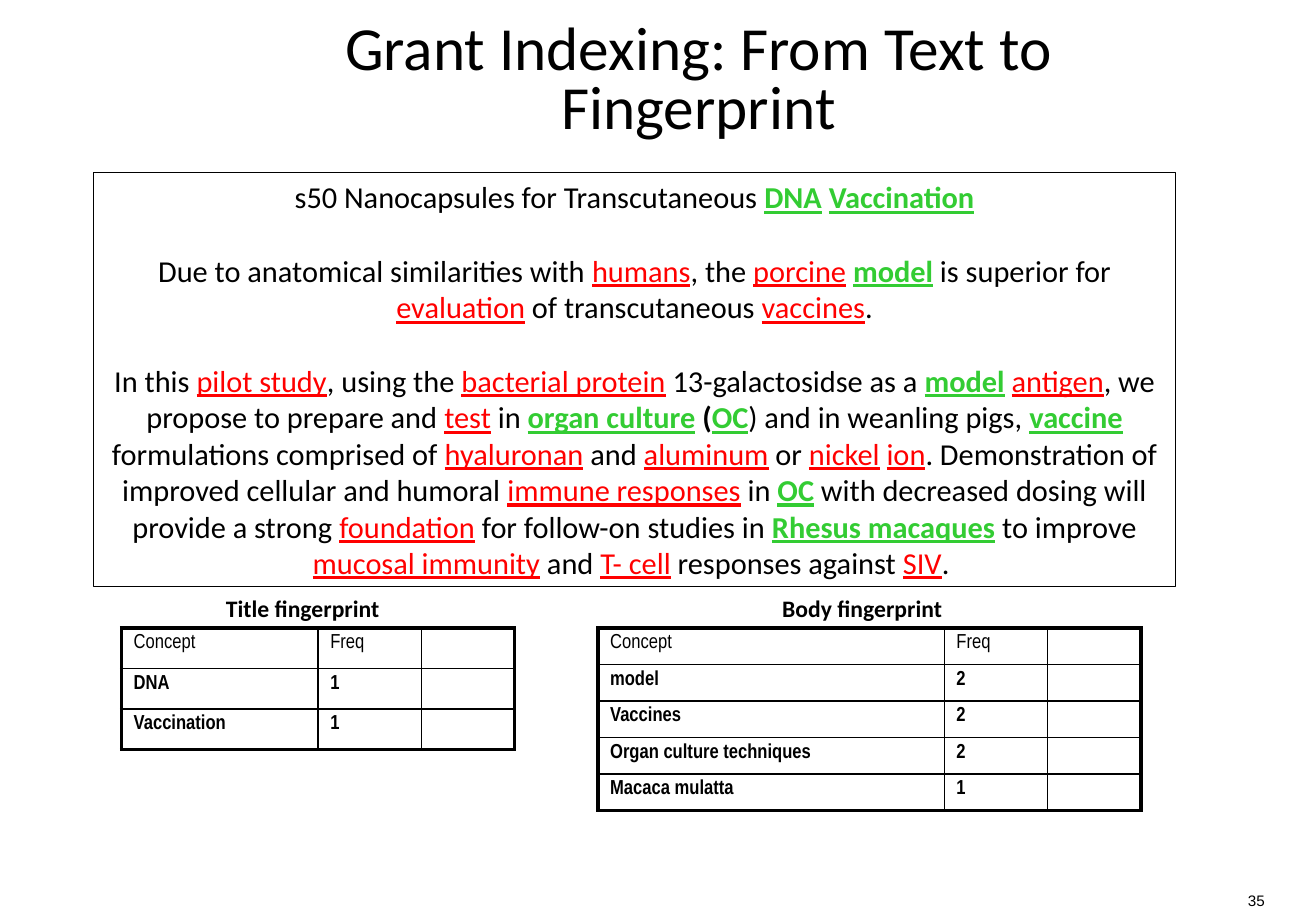
from dataclasses import dataclass

import lxml.etree
import pptx
import pptx.dml.color
import pptx.enum.text
import pptx.oxml.ns
import pptx.util

Cm = pptx.util.Cm
Pt = pptx.util.Pt
Align = pptx.enum.text.PP_ALIGN


@dataclass(frozen=True)
class Theme:
    """Colours, typefaces and type sizes of the slide."""
    black: str = "000000"
    red: str = "FF0000"
    green: str = "33CC33"
    text_face: str = "Calibri"
    table_face: str = "Arial Narrow"
    number_face: str = "Arial"
    title_size: float = 36.3
    abstract_size: float = 18
    caption_size: float = 14
    table_size: float = 12
    number_size: float = 9
    outer_line: float = 2.25
    inner_line: float = 1


THEME = Theme()

# "+" marks a matched concept, "-" another concept, "*" bold plain text.
ABSTRACT = [
    "s50 Nanocapsules for Transcutaneous |+DNA| |+Vaccination",
    "Due to anatomical similarities with |-humans|, the |-porcine| |+model"
    "| is superior for |-evaluation| of transcutaneous |-vaccines|.",
    "In this |-pilot study|, using the |-bacterial protein| 13-galactosidse as a "
    "|+model| |-antigen|, we propose to prepare and |-test| in |+organ culture|* (|+OC"
    "|) and in weanling pigs, |+vaccine| formulations comprised of |-hyaluronan"
    "| and |-aluminum| or |-nickel| |-ion|. Demonstration of improved cellular and "
    "humoral |-immune responses| in |+OC| with decreased dosing will provide a strong "
    "|-foundation| for follow-on studies in |+Rhesus macaques| to improve "
    "|-mucosal immunity| and |-T- cell| responses against |-SIV|. ",
]
MARKS = {
    "+": (THEME.green, True, True),
    "-": (THEME.red, False, True),
    "*": (THEME.black, True, False),
}
TITLE_CONCEPTS = [("DNA", "1"), ("Vaccination", "1")]
BODY_CONCEPTS = [("model", "2"), ("Vaccines", "2"),
                 ("Organ culture techniques", "2"), ("Macaca mulatta", "1")]


def set_font(font, face, size, bold=False):
    """Give a font its face, size, weight and black colour."""
    font.name = face
    font.size = Pt(size)
    font.bold = bold
    font.color.rgb = pptx.dml.color.RGBColor.from_string(THEME.black)


def add_label(page, box, text, face, size, bold=False, align=Align.CENTER, inset=0.13):
    """Add one unwrapped line of text in the given box."""
    label = page.shapes.add_textbox(*map(Cm, box))
    frame = label.text_frame
    frame.word_wrap = False
    frame.margin_left = frame.margin_right = Cm(2 * inset)
    frame.margin_top = frame.margin_bottom = Cm(inset)
    para = frame.paragraphs[0]
    para.text = text
    para.alignment = align
    set_font(para.font, face, size, bold)


def place_title(page, box, text):
    """Move the title placeholder to its box and format it."""
    title = page.shapes.title
    title.left, title.top, title.width, title.height = map(Cm, box)
    frame = title.text_frame
    frame.text = text
    frame.word_wrap = True
    frame.auto_size = pptx.enum.text.MSO_AUTO_SIZE.NONE
    frame.vertical_anchor = pptx.enum.text.MSO_ANCHOR.MIDDLE
    para = frame.paragraphs[0]
    para.alignment = Align.CENTER
    para.line_spacing = 0.8
    set_font(para.font, THEME.text_face, THEME.title_size)


def add_abstract(page, box, paragraphs):
    """Add the framed abstract with its concepts highlighted."""
    abstract = page.shapes.add_textbox(*map(Cm, box))
    abstract.line.color.rgb = pptx.dml.color.RGBColor.from_string(THEME.black)
    abstract.line.width = Pt(0.75)
    frame = abstract.text_frame
    frame.word_wrap = True
    for index, marked in enumerate(paragraphs):
        para = frame.add_paragraph() if index else frame.paragraphs[0]
        para.alignment = Align.CENTER
        para.space_before = Pt(22 if index else 0)
        set_font(para.font, THEME.text_face, THEME.abstract_size)
        for piece in marked.split("|"):
            color, bold, underline = MARKS.get(piece[0], (THEME.black, False, False))
            span = para.add_run()
            span.text = piece[1:] if piece[0] in MARKS else piece
            span.font.bold = bold
            span.font.underline = underline
            span.font.color.rgb = pptx.dml.color.RGBColor.from_string(color)


def set_borders(cell, outer_sides):
    """Draw the four cell borders, heavier on the outer sides."""
    properties = cell._tc.get_or_add_tcPr()
    name = pptx.oxml.ns.qn
    for index, side in enumerate("LRTB"):
        width = THEME.outer_line if side in outer_sides else THEME.inner_line
        line = lxml.etree.Element(name(f"a:ln{side}"), w=str(int(Pt(width))))
        fill = lxml.etree.SubElement(line, name("a:solidFill"))
        lxml.etree.SubElement(fill, name("a:srgbClr"), val=THEME.black)
        properties.insert(index, line)


def add_fingerprint(page, box, caption, caption_box, concepts, concept_width):
    """Add a captioned table of concepts and their frequencies."""
    left, top, width, height = box
    offset, caption_width = caption_box
    add_label(page, (left + offset, top - 0.84, caption_width, 0.86), caption,
              THEME.text_face, THEME.caption_size, bold=True)
    rows = [("Concept", "Freq", "")] + [(*concept, "") for concept in concepts]
    table = page.shapes.add_table(len(rows), 3, *map(Cm, box)).table
    table.first_row = table.horz_banding = False
    freq_width = 2.16
    widths = (concept_width, freq_width, width - concept_width - freq_width)
    for column, column_width in zip(table.columns, widths):
        column.width = Cm(column_width)
    last_row = len(rows) - 1
    for row_index, row in enumerate(rows):
        table.rows[row_index].height = Cm(height / len(rows))
        for column_index, text in enumerate(row):
            cell = table.cell(row_index, column_index)
            cell.fill.background()
            edges = {"L": column_index == 0, "R": column_index == 2,
                     "T": row_index == 0, "B": row_index == last_row}
            set_borders(cell, [side for side, outer in edges.items() if outer])
            para = cell.text_frame.paragraphs[0]
            set_font(para.font, THEME.table_face, THEME.table_size, row_index > 0)
            if text:
                para.text = text
            else:
                ending = lxml.etree.SubElement(para._p, pptx.oxml.ns.qn("a:endParaRPr"))
                ending.set("sz", str(THEME.table_size * 100))


def main():
    """Build the slide and save the deck."""
    deck = pptx.Presentation()
    deck.slide_width, deck.slide_height = Cm(27.51), Cm(19.05)
    page = deck.slides.add_slide(deck.slide_layouts[5])
    place_title(page, (5.08, 0.23, 19.05, 2.97),
                "Grant Indexing: From Text to Fingerprint")
    add_abstract(page, (1.96, 3.61, 22.61, 8.66), ABSTRACT)
    add_fingerprint(page, (2.54, 13.13, 8.22, 2.54), "Title fingerprint",
                    (1.91, 3.76), TITLE_CONCEPTS, 4.11)
    add_fingerprint(page, (12.5, 13.13, 11.35, 3.81), "Body fingerprint",
                    (3.58, 3.89), BODY_CONCEPTS, 7.24)
    add_label(page, (26.06, 18.64, 0.38, 0.38), "35", THEME.number_face,
              THEME.number_size, align=Align.RIGHT, inset=0)
    deck.save("out.pptx")


if __name__ == "__main__":
    main()
